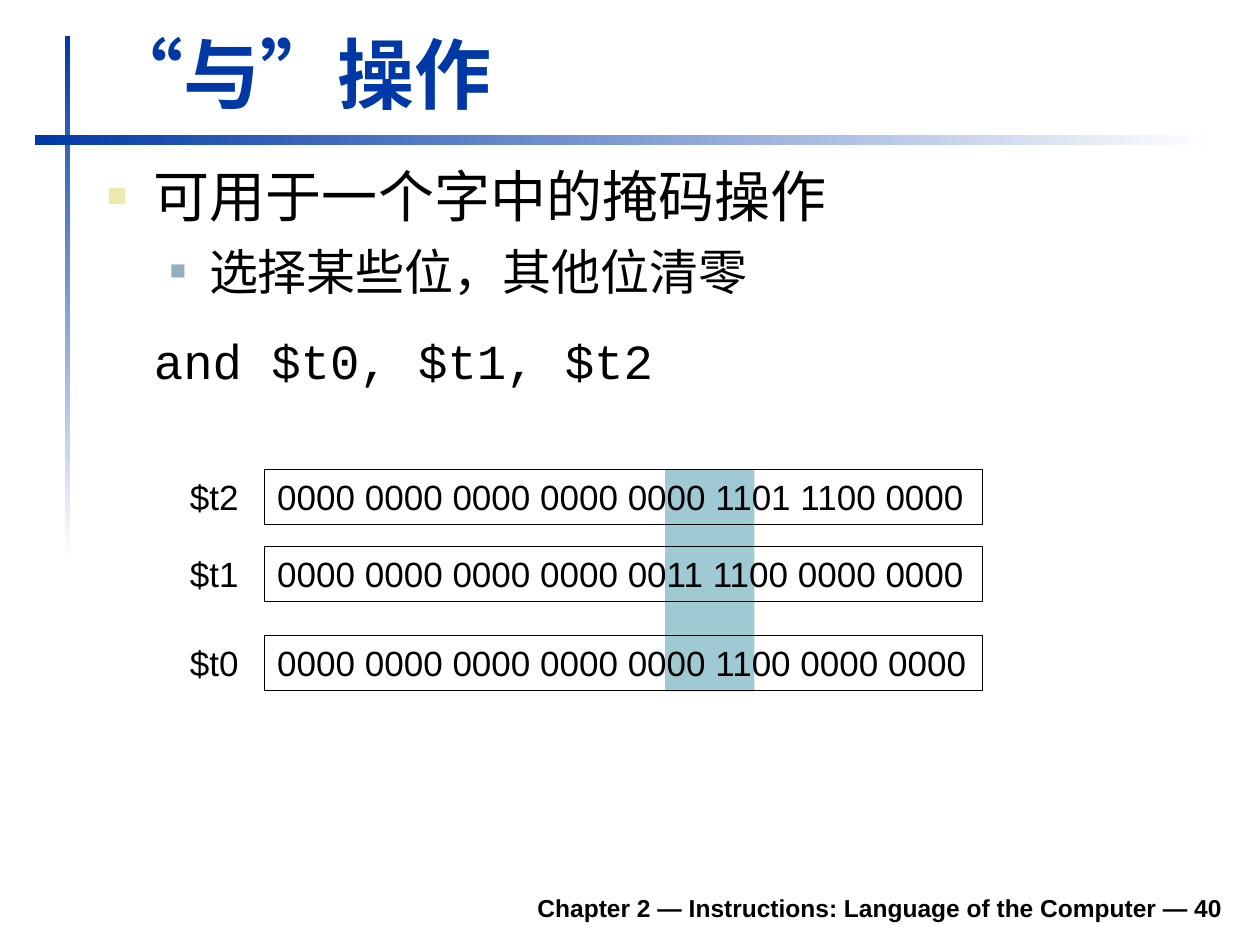
"""Build the slide on the bitwise AND instruction."""
from lxml import etree
from pptx import Presentation
from pptx import util as u
from pptx.dml.color import RGBColor
from pptx.enum import lang, shapes, text
from pptx.oxml import ns

COLORS = {
    "blue": "0039A6", "white": "FFFFFF", "black": "000000",
    "band": "9FCAD3", "bullet1": "ECEAAC", "bullet2": "91AFBF",
}


def rgb(name):
    return RGBColor.from_string(COLORS[name])


def add_run(p, words, size, font="Arial", color="black", bold=False, east_asian=True):
    r = p.add_run()
    r.text = words
    r.font.size = u.Pt(size)
    r.font.bold = bold
    r.font.color.rgb = rgb(color)
    r.font.name = font
    r.font.language_id = lang.MSO_LANGUAGE_ID.SIMPLIFIED_CHINESE
    if east_asian:
        etree.SubElement(r.font._element, ns.qn("a:ea"), typeface=font)


prs = Presentation()
prs.slide_width, prs.slide_height = u.Cm(25.4), u.Cm(19.05)
s = prs.slides.add_slide(prs.slide_layouts[1])

rules = [((1.31, 0.72, 0.1, 10.59), 270), ((0.7, 2.72, 23.8, 0.2), 0)]
for box, angle in rules:
    sp = s.shapes.add_shape(shapes.MSO_SHAPE.RECTANGLE, *map(u.Cm, box))
    sp.shadow.inherit = False
    sp.line.fill.background()
    sp.fill.gradient()
    sp.fill.gradient_angle = angle
    for stop, name in zip(sp.fill.gradient_stops, ("blue", "white")):
        stop.color.rgb = rgb(name)

title = s.shapes.title
title.left, title.top, title.width, title.height = map(u.Cm, (1.9, 0.41, 22.94, 2.11))
tf = title.text_frame
tf.auto_size = text.MSO_AUTO_SIZE.NONE
tf.vertical_anchor = text.MSO_ANCHOR.BOTTOM
p = tf.paragraphs[0]
p.alignment = text.PP_ALIGN.LEFT
add_run(p, "“与”操作", 44, color="blue", bold=True, east_asian=False)

body = s.placeholders[1]
body.left, body.top, body.width, body.height = map(u.Cm, (1.9, 3.13, 22.96, 5.77))
tf = body.text_frame
tf.auto_size = text.MSO_AUTO_SIZE.NONE
points = [
    ("可用于一个字中的掩码操作", 32, "Arial", 0, 0.95, -0.95, 0, ("bullet1", 60)),
    ("选择某些位，其他位清零", 28, "Arial", 1, 2.06, -0.79, 7, ("bullet2", 55)),
    ("and $t0, $t1, $t2", 28, "Courier New", 0, 0.95, 0, 17.5, None),
]
for i, (words, size, font, level, margin, indent, before, bullet) in enumerate(points):
    p = tf.add_paragraph() if i else tf.paragraphs[0]
    p.level = level
    pPr = p._p.get_or_add_pPr()
    pPr.set("marL", str(u.Cm(margin)))
    pPr.set("indent", str(u.Cm(indent)))
    if bullet:
        color, percent = bullet
        clr = etree.SubElement(pPr, ns.qn("a:buClr"))
        etree.SubElement(clr, ns.qn("a:srgbClr"), val=COLORS[color])
        etree.SubElement(pPr, ns.qn("a:buSzPct"), val=str(percent * 1000))
        etree.SubElement(pPr, ns.qn("a:buFont"), typeface="Arial")
        etree.SubElement(pPr, ns.qn("a:buChar"), char="■")
    else:
        etree.SubElement(pPr, ns.qn("a:buNone"))
    p.space_before = u.Pt(before)
    add_run(p, words, size, font)

band = s.shapes.add_shape(shapes.MSO_SHAPE.RECTANGLE, *map(u.Cm, (13.41, 9.47, 1.8, 4.47)))
band.shadow.inherit = False
band.fill.solid()
band.fill.fore_color.rgb = rgb("band")
band.line.fill.background()

registers = [
    ("$t2", "0000 0000 0000 0000 0000 1101 1100 0000", 9.46),
    ("$t1", "0000 0000 0000 0000 0011 1100 0000 0000", 11.02),
    ("$t0", "0000 0000 0000 0000 0000 1100 0000 0000", 12.81),
]
for name, bits, top in registers:
    label = s.shapes.add_textbox(*map(u.Cm, (3.58, top, 1.6, 1.11)))
    word = s.shapes.add_shape(shapes.MSO_SHAPE.RECTANGLE, *map(u.Cm, (5.34, top, 14.47, 1.11)))
    word.shadow.inherit = False
    word.fill.background()
    word.line.color.rgb = rgb("black")
    word.line.width = u.Pt(0.75)
    for sp, words in ((label, name), (word, bits)):
        tf = sp.text_frame
        tf.word_wrap = False
        tf.vertical_anchor = text.MSO_ANCHOR.TOP
        p = tf.paragraphs[0]
        p.alignment = text.PP_ALIGN.LEFT
        add_run(p, words, 20)

footer = s.shapes.add_textbox(*map(u.Cm, (4.7, 17.73, 20.2, 0.99)))
tf = footer.text_frame
tf.word_wrap = True
tf.vertical_anchor = text.MSO_ANCHOR.BOTTOM
p = tf.paragraphs[0]
p.alignment = text.PP_ALIGN.RIGHT
add_run(p, "Chapter 2 — Instructions: Language of the Computer — 40", 14, bold=True)

prs.save("out.pptx")
